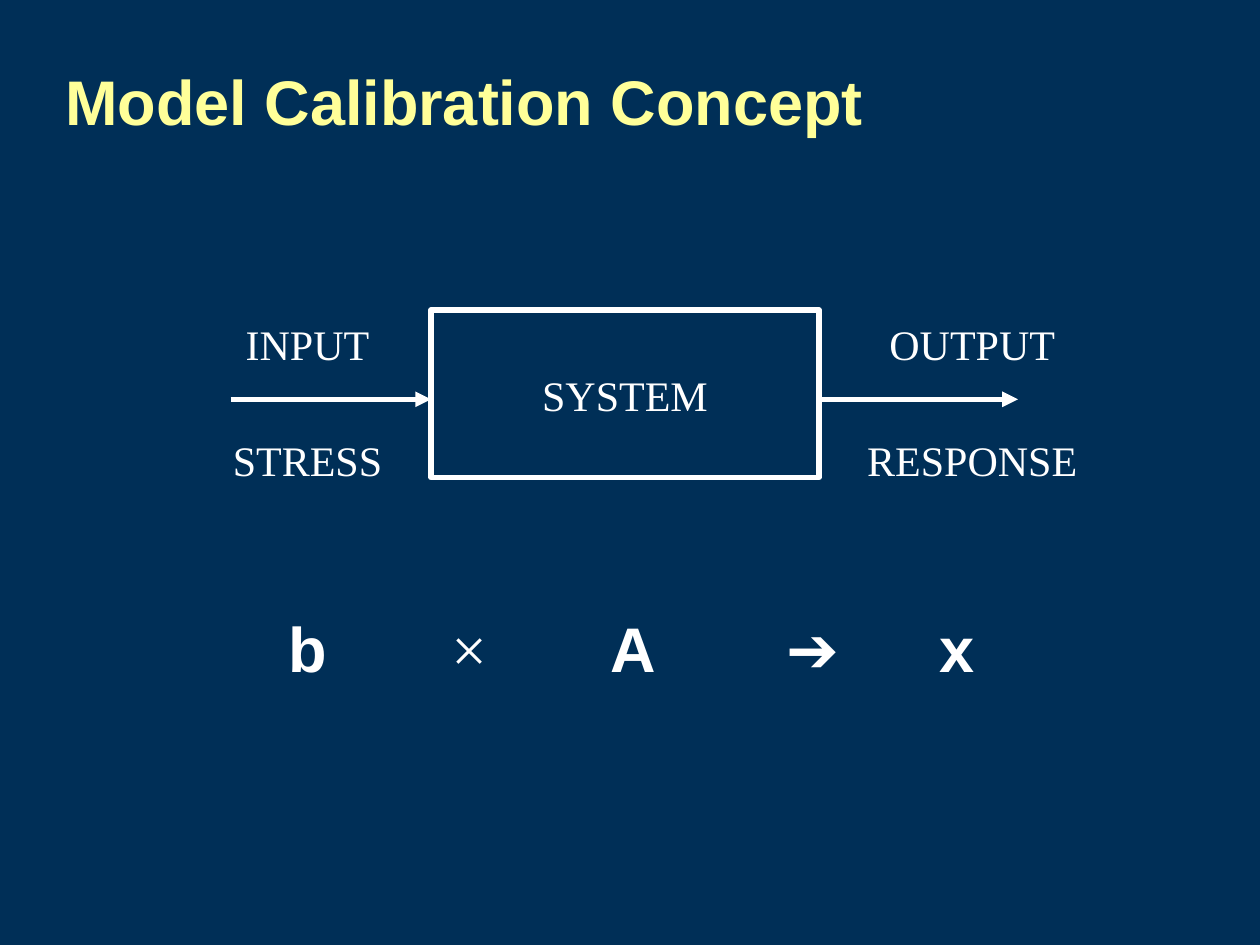
from lxml import etree
from pptx import Presentation
from pptx.dml.color import RGBColor
from pptx.enum.shapes import MSO_CONNECTOR, MSO_SHAPE
from pptx.enum.text import MSO_ANCHOR, MSO_AUTO_SIZE, PP_ALIGN
from pptx.oxml.ns import qn
from pptx.util import Cm, Pt

STRAIGHT = MSO_CONNECTOR.STRAIGHT
RECTANGLE = MSO_SHAPE.RECTANGLE
MIDDLE = MSO_ANCHOR.MIDDLE
FIT_TEXT = MSO_AUTO_SIZE.SHAPE_TO_FIT_TEXT
CENTER = PP_ALIGN.CENTER

NAVY, YELLOW, WHITE = "002F57", "FFFF99", "FFFFFF"
SANS, SERIF = "Arial", "Times New Roman"
LABEL_HEIGHT, SYMBOL_HEIGHT = 1.27, 1.8
ARROW_Y = 8.05
SYMBOL_TOP = 12.17

LABELS = [
    ("SYSTEM", 12.6, 7.32, 3.86),
    ("INPUT", 6.2, 6.3, 3.0),
    ("STRESS", 6.2, 8.64, 3.53),
    ("OUTPUT", 19.6, 6.3, 3.86),
    ("RESPONSE", 19.6, 8.64, 4.75),
]
SYMBOLS = [
    ("b", 6.21, 1.3, SANS, True),
    ("×", 9.46, 1.24, SERIF, False),
    ("A", 12.76, 1.45, SANS, True),
    ("➔", 16.38, 1.88, SANS, False),
    ("x", 19.3, 1.22, SANS, True),
]


def color(value):
    return RGBColor.from_string(value)


def style(para, size, name, value, bold=False):
    font = para.font
    font.size, font.name, font.bold = Pt(size), name, bold
    font.color.rgb = color(value)


def add_title(page, text):
    box = page.shapes.add_textbox(Cm(1.07), Cm(0.43), Cm(23.06), Cm(3.18))
    frame = box.text_frame
    frame.word_wrap = True
    frame.vertical_anchor = MIDDLE
    frame.text = text
    style(frame.paragraphs[0], 36, SANS, YELLOW, True)


def add_centered_text(page, text, center, top, width, height, size, name, bold=False):
    box = page.shapes.add_textbox(Cm(center - width / 2), Cm(top), Cm(width), Cm(height))
    frame = box.text_frame
    frame.word_wrap = False
    frame.auto_size = FIT_TEXT
    frame.text = text
    para = frame.paragraphs[0]
    para.alignment = CENTER
    style(para, size, name, WHITE, bold)


def add_system_box(page):
    box = page.shapes.add_shape(RECTANGLE, Cm(8.69), Cm(6.25), Cm(7.82), Cm(3.38))
    box.shadow.inherit = False
    box.fill.background()
    box.line.color.rgb = color(WHITE)
    box.line.width = Pt(3)


def add_arrow(page, start, end):
    arrow = page.shapes.add_connector(STRAIGHT, Cm(start), Cm(ARROW_Y), Cm(end), Cm(ARROW_Y))
    arrow.line.color.rgb = color(WHITE)
    arrow.line.width = Pt(3)
    properties = arrow._element.spPr
    etree.SubElement(properties.find(qn("a:ln")), qn("a:tailEnd"), type="triangle")
    etree.SubElement(properties, qn("a:effectLst"))


def main():
    deck = Presentation()
    deck.slide_width, deck.slide_height = Cm(25.4), Cm(19.05)
    page = deck.slides.add_slide(deck.slide_layouts[6])
    page.background.fill.solid()
    page.background.fill.fore_color.rgb = color(NAVY)

    add_title(page, "Model Calibration Concept")
    add_system_box(page)
    add_arrow(page, 4.65, 8.69)
    add_arrow(page, 16.51, 20.52)
    for text, center, top, width in LABELS:
        add_centered_text(page, text, center, top, width, LABEL_HEIGHT, 24, SERIF)
    for text, center, width, name, bold in SYMBOLS:
        add_centered_text(page, text, center, SYMBOL_TOP, width, SYMBOL_HEIGHT, 36, name, bold)
    deck.save("out.pptx")


if __name__ == "__main__":
    main()
